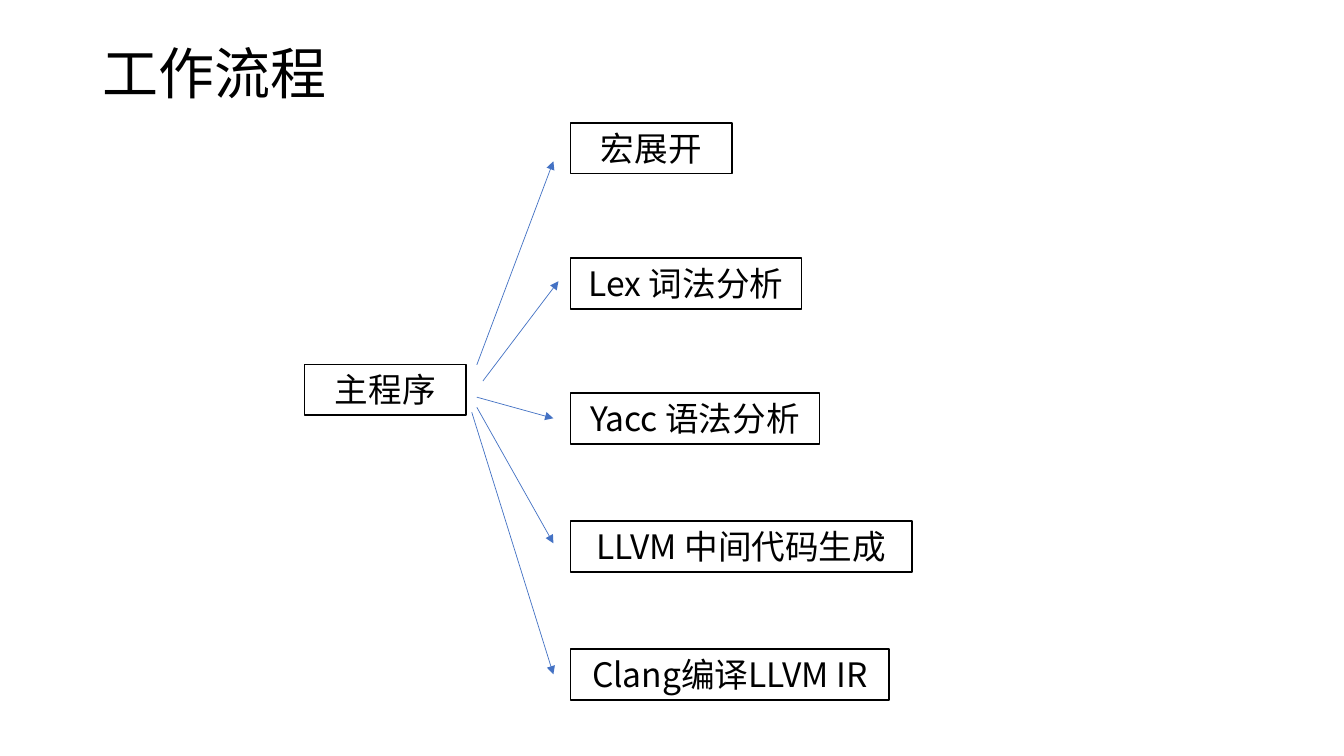
import pptx
import pptx.util
import pptx.dml.color
import pptx.enum.dml
import pptx.enum.shapes
import pptx.enum.text
import pptx.oxml
import pptx.oxml.ns
from dataclasses import dataclass

Pt = pptx.util.Pt
ANCHOR = pptx.enum.text.MSO_ANCHOR
ALIGN = pptx.enum.text.PP_ALIGN


@dataclass(frozen=True)
class Theme:
    font: str = "Noto Sans CJK SC"
    ink: str = "000000"
    arrow: str = "4472C4"
    title_size: float = 40
    box_size: float = 24
    box_line: float = 1
    arrow_line: float = 0.5


THEME = Theme()
BOX_HEIGHT = 36.35
STEP_LEFT = 407.5

# Step: label, top, width, arrow start, arrow end
STEPS = [
    ("宏展开", 87.8, 115.4, (340.6, 260.6), (395.3, 115.2)),
    ("Lex 词法分析", 184.3, 164.9, (344.9, 272.2), (398.9, 200.9)),
    ("Yacc 语法分析", 280.8, 177.8, (340.6, 283.7), (395.3, 298.8)),
    ("LLVM 中间代码生成", 372.2, 244.1, (340.6, 290.9), (395.3, 388.1)),
    ("Clang编译LLVM IR", 463.7, 227.5, (337, 294.5), (395.3, 481.7)),
]


def set_values(target, values):
    for name, value in values.items():
        setattr(target, name, value)


def color(value):
    return pptx.dml.color.RGBColor.from_string(value)


def write_text(shape, text, size, frame_format, paragraph_format):
    frame = shape.text_frame
    set_values(frame, frame_format)
    paragraph = frame.paragraphs[0]
    set_values(paragraph, paragraph_format)
    run = paragraph.add_run()
    run.text = text
    set_values(run.font, {"name": THEME.font, "size": Pt(size)})
    run.font.color.rgb = color(THEME.ink)
    # East Asian typeface
    east_asian = pptx.oxml.parse_xml(
        f'<a:ea {pptx.oxml.ns.nsdecls("a")} typeface="{THEME.font}"/>')
    run.font._element.append(east_asian)


def add_title(slide, text):
    shape = slide.shapes.add_textbox(Pt(66), Pt(1.5), Pt(828), Pt(106))
    write_text(shape, text, THEME.title_size,
               {"word_wrap": True, "vertical_anchor": ANCHOR.MIDDLE},
               {"line_spacing": 0.9})


def add_box(slide, text, left, top, width):
    shape = slide.shapes.add_shape(
        pptx.enum.shapes.MSO_SHAPE.RECTANGLE,
        Pt(left), Pt(top), Pt(width), Pt(BOX_HEIGHT))
    shape.shadow.inherit = False
    shape.fill.background()
    shape.line.color.rgb = color(THEME.ink)
    shape.line.width = Pt(THEME.box_line)
    write_text(shape, text, THEME.box_size,
               {"word_wrap": False, "vertical_anchor": ANCHOR.TOP,
                "auto_size": pptx.enum.text.MSO_AUTO_SIZE.SHAPE_TO_FIT_TEXT},
               {"alignment": ALIGN.CENTER})


def add_arrow(slide, start, end):
    connector = slide.shapes.add_connector(
        pptx.enum.shapes.MSO_CONNECTOR.STRAIGHT,
        *(Pt(value) for value in start + end))
    connector.line.color.rgb = color(THEME.arrow)
    connector.line.width = Pt(THEME.arrow_line)
    # Arrowhead, and no shadow
    namespace = pptx.oxml.ns.nsdecls("a")
    connector.line._get_or_add_ln().append(
        pptx.oxml.parse_xml(f'<a:tailEnd {namespace} type="triangle"/>'))
    connector._element.spPr.append(
        pptx.oxml.parse_xml(f"<a:effectLst {namespace}/>"))


def main():
    presentation = pptx.Presentation()
    set_values(presentation, {"slide_width": Pt(960), "slide_height": Pt(540)})
    slide = presentation.slides.add_slide(presentation.slide_layouts[6])

    # Title and main program
    add_title(slide, "工作流程")
    add_box(slide, "主程序", 217.5, 260.2, 115.4)

    # Steps called by the main program
    for label, top, width, start, end in STEPS:
        add_box(slide, label, STEP_LEFT, top, width)
        add_arrow(slide, start, end)

    presentation.save("out.pptx")


if __name__ == "__main__":
    main()
